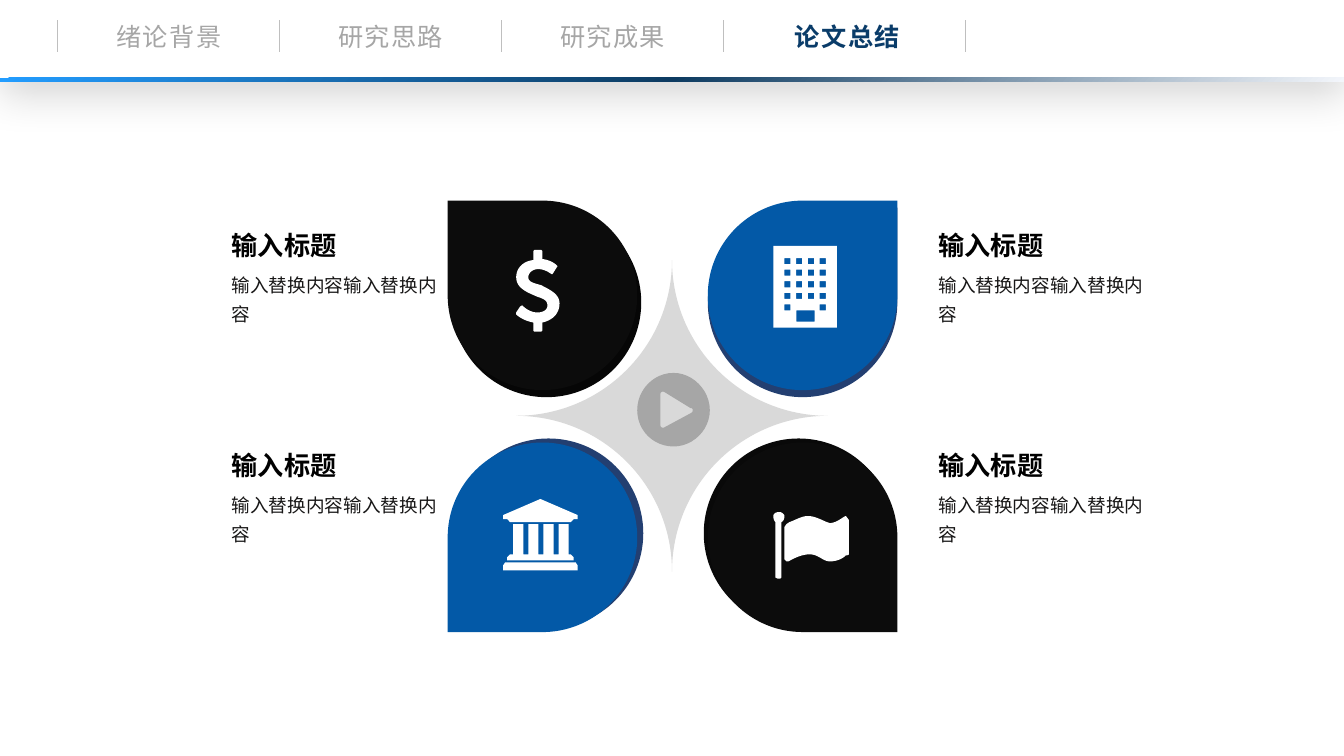
from dataclasses import dataclass

import pptx
import pptx.dml.color
import pptx.enum.shapes
import pptx.enum.text
import pptx.oxml
import pptx.oxml.ns
import pptx.shapes.autoshape
import pptx.slide
import pptx.util
from pptx.util import Inches

Point = tuple[float, float]
Contour = list[Point]
SHAPES = pptx.enum.shapes.MSO_SHAPE
ALIGN = pptx.enum.text.PP_ALIGN
FONT = "Noto Sans CJK SC"
BLACK, BLUE, WHITE, GREY = "0C0C0C", "0359A7", "FFFFFF", "A6A6A6"
A_NS = 'xmlns:a="http://schemas.openxmlformats.org/drawingml/2006/main"'


@dataclass
class Petal:
    left: float
    top: float
    rotation: int
    color: str
    edge_left: float
    edge_top: float
    edge_color: str
    text_left: float
    text_top: float


@dataclass
class Section:
    name: str
    left: float


PETALS = [
    Petal(4.44, 1.99, 270, BLACK, 4.48, 2.06, "060606", 2.2, 2.23),
    Petal(7.02, 1.99, 0, BLUE, 7.02, 2.06, "233F71", 9.21, 2.23),
    Petal(4.44, 4.39, 180, BLUE, 4.5, 4.35, "233F71", 2.2, 4.41),
    Petal(7.02, 4.39, 90, BLACK, 6.98, 4.35, "090909", 9.21, 4.41),
]
SECTIONS = [Section("绪论背景", 1.04), Section("研究思路", 3.24), Section("研究成果", 5.44)]
CURRENT_SECTION = Section("论文总结", 7.77)
SEPARATORS = [0.57, 2.77, 4.97, 7.17, 9.57]


def rgb(color: str) -> pptx.dml.color.RGBColor:
    return pptx.dml.color.RGBColor.from_string(color)


def paint(shape: pptx.shapes.autoshape.Shape, color: str) -> None:
    shape.shadow.inherit = False
    shape.fill.solid()
    shape.fill.fore_color.rgb = rgb(color)
    shape.line.fill.background()


def add_filled(slide: pptx.slide.Slide, kind: SHAPES, left: float, top: float, width: float,
               height: float, color: str, rotation: int = 0) -> pptx.shapes.autoshape.Shape:
    shape = slide.shapes.add_shape(kind, Inches(left), Inches(top), Inches(width), Inches(height))
    shape.rotation = rotation
    paint(shape, color)
    return shape


def trace(*steps: tuple[float, ...]) -> Contour:
    """Turn points (x, y) and cubic curves (x1, y1, x2, y2, x, y) into a polygon."""
    points: Contour = []
    for step in steps:
        if len(step) == 2:
            points.append(step)
            continue
        x0, y0 = points[-1]
        x1, y1, x2, y2, x3, y3 = step
        for i in range(1, 13):
            t = i / 12
            a, b, c, d = (1 - t) ** 3, 3 * t * (1 - t) ** 2, 3 * t * t * (1 - t), t ** 3
            points.append((a * x0 + b * x1 + c * x2 + d * x3, a * y0 + b * y1 + c * y2 + d * y3))
    return points


def box(left: float, top: float, width: float, height: float) -> Contour:
    right, bottom = left + width, top + height
    return [(left, top), (right, top), (right, bottom), (left, bottom)]


def add_icon(slide: pptx.slide.Slide, contours: list[Contour], color: str) -> None:
    outlines = [[(Inches(x), Inches(y)) for x, y in contour] for contour in contours]
    builder = slide.shapes.build_freeform(*outlines[0][0])
    builder.add_line_segments(outlines[0][1:])
    for outline in outlines[1:]:
        builder.move_to(*outline[0])
        builder.add_line_segments(outline[1:])
    paint(builder.convert_to_shape(), color)


def write(shape: pptx.shapes.autoshape.Shape, text: str, size: float, color: str,
          align: ALIGN, bold: bool = False, spacing: int = 0, wrap: bool = True) -> None:
    frame = shape.text_frame
    frame.word_wrap = wrap
    frame.auto_size = pptx.enum.text.MSO_AUTO_SIZE.NONE
    frame.vertical_anchor = pptx.enum.text.MSO_ANCHOR.TOP
    frame.text = text
    paragraph = frame.paragraphs[0]
    paragraph.alignment = align
    font = paragraph.font
    font.size, font.bold, font.name = pptx.util.Pt(size), bold, FONT
    font.color.rgb = rgb(color)
    for properties in shape.element.iter(pptx.oxml.ns.qn("a:defRPr")):
        properties.set("spc", str(spacing))
        properties.append(pptx.oxml.parse_xml(f'<a:ea {A_NS} typeface="{FONT}"/>'))


def add_text_box(slide: pptx.slide.Slide, left: float, top: float, width: float,
                 height: float) -> pptx.shapes.autoshape.Shape:
    return slide.shapes.add_textbox(Inches(left), Inches(top), Inches(width), Inches(height))


def add_petals(slide: pptx.slide.Slide) -> None:
    star = add_filled(slide, SHAPES.PLAQUE, 5.12, 2.58, 3.09, 3.09, "D9D9D9")
    star.adjustments[0] = 0.5
    for petal in PETALS:
        add_filled(slide, SHAPES.TEAR, petal.edge_left, petal.edge_top, 1.88, 1.88,
                   petal.edge_color, petal.rotation)
        add_filled(slide, SHAPES.TEAR, petal.left, petal.top, 1.88, 1.88,
                   petal.color, petal.rotation)
        body = add_text_box(slide, petal.text_left, petal.text_top + 0.37, 2.24, 0.66)
        write(body, "输入替换内容输入替换内容", 13.3, "181717", ALIGN.LEFT)
        body.text_frame.paragraphs[0].line_spacing = 1.3
        heading = add_text_box(slide, petal.text_left, petal.text_top, 2.24, 0.42)
        write(heading, "输入标题", 18.7, "000000", ALIGN.JUSTIFY, bold=True)


def add_icons(slide: pptx.slide.Slide) -> None:
    play = [
        trace((7.04, 4.07), (7.04, 4.27, 6.87, 4.43, 6.68, 4.43), (6.48, 4.43, 6.32, 4.27, 6.32, 4.07),
              (6.32, 3.87, 6.48, 3.7, 6.68, 3.7), (6.87, 3.7, 7.04, 3.87, 7.04, 4.07)),
        trace((6.87, 4.07), (6.87, 4.06, 6.87, 4.05, 6.85, 4.05), (6.59, 3.89),
              (6.57, 3.88, 6.55, 3.89, 6.55, 3.91), (6.55, 4.22), (6.55, 4.24, 6.57, 4.25, 6.59, 4.24),
              (6.85, 4.1), (6.87, 4.09, 6.87, 4.08, 6.87, 4.07)),
    ]
    dollar = [trace(
        (5.38, 3.2), (5.38, 3.28), (5.37, 3.29), (5.3, 3.29), (5.29, 3.28), (5.29, 3.2),
        (5.18, 3.18, 5.12, 3.12, 5.12, 3.12), (5.12, 3.1), (5.16, 3.04), (5.18, 3.03),
        (5.19, 3.04, 5.25, 3.1, 5.33, 3.1), (5.38, 3.1, 5.43, 3.08, 5.43, 3.03),
        (5.43, 2.97, 5.37, 2.96, 5.32, 2.94), (5.23, 2.9, 5.12, 2.86, 5.12, 2.75),
        (5.12, 2.66, 5.19, 2.59, 5.29, 2.58), (5.29, 2.49), (5.3, 2.48), (5.37, 2.48), (5.38, 2.49),
        (5.38, 2.57), (5.47, 2.58, 5.52, 2.63, 5.52, 2.63), (5.53, 2.64), (5.48, 2.72), (5.47, 2.72),
        (5.47, 2.72, 5.41, 2.67, 5.34, 2.67), (5.28, 2.67, 5.24, 2.71, 5.24, 2.75),
        (5.24, 2.8, 5.3, 2.81, 5.37, 2.83), (5.44, 2.87, 5.55, 2.91, 5.55, 3.01),
        (5.55, 3.12, 5.47, 3.18, 5.38, 3.2))]
    windows = [box(7.78 + 0.117 * column, 2.56 + 0.115 * row, 0.06, 0.06)
               for row in range(5) for column in range(4) if row < 4 or column in (0, 3)]
    building = [box(7.67, 2.44, 0.63, 0.81), *windows, box(7.9, 3.08, 0.18, 0.11)]
    bank = [
        [(5.36, 4.95), (5.73, 5.11), (5.73, 5.15), (5.69, 5.15), (5.66, 5.18), (5.06, 5.18),
         (5.03, 5.15), (4.99, 5.15), (4.99, 5.11)],
        *[box(5.09 + 0.15 * column, 5.2, 0.1, 0.3) for column in range(4)],
        [(5.06, 5.5), (5.66, 5.5), (5.69, 5.53), (5.69, 5.56), (5.03, 5.56), (5.03, 5.53)],
        [(5.01, 5.58), (5.71, 5.58), (5.73, 5.61), (5.73, 5.66), (4.99, 5.66), (4.99, 5.61)],
    ]
    flag = [
        trace((7.75, 5.18), (7.75, 5.73), (7.74, 5.74), (7.71, 5.74), (7.69, 5.73), (7.69, 5.18),
              (7.68, 5.17, 7.67, 5.15, 7.67, 5.12), (7.67, 5.1, 7.69, 5.08, 7.73, 5.08),
              (7.75, 5.08, 7.78, 5.1, 7.78, 5.12), (7.78, 5.15, 7.77, 5.17, 7.75, 5.18)),
        trace((8.42, 5.49), (8.42, 5.5, 8.42, 5.51, 8.39, 5.51), (8.35, 5.55, 8.29, 5.57, 8.23, 5.57),
              (8.16, 5.57, 8.12, 5.5, 8.03, 5.5), (7.96, 5.5, 7.89, 5.53, 7.82, 5.57),
              (7.8, 5.57), (7.78, 5.55), (7.78, 5.23), (7.8, 5.2), (7.83, 5.18),
              (7.89, 5.16, 7.95, 5.12, 8.01, 5.12), (8.08, 5.12, 8.13, 5.15, 8.2, 5.18),
              (8.23, 5.19), (8.3, 5.19, 8.37, 5.12, 8.39, 5.12), (8.42, 5.16)),
    ]
    add_icon(slide, play, GREY)
    for icon in (dollar, building, bank, flag):
        add_icon(slide, icon, WHITE)


def add_header(slide: pptx.slide.Slide) -> None:
    band = add_filled(slide, SHAPES.RECTANGLE, 0, -0.07, 13.33, 0.87, WHITE)
    effects = band.element.spPr.find(pptx.oxml.ns.qn("a:effectLst"))
    effects.append(pptx.oxml.parse_xml(
        f'<a:outerShdw {A_NS} blurRad="355600" dist="139700" dir="5400000" algn="t" rotWithShape="0">'
        '<a:srgbClr val="000000"><a:alpha val="15000"/></a:srgbClr></a:outerShdw>'))
    for x in SEPARATORS:
        separator = slide.shapes.add_connector(pptx.enum.shapes.MSO_CONNECTOR.STRAIGHT,
                                               Inches(x), Inches(0.2), Inches(x), Inches(0.52))
        separator.line.color.rgb = rgb("BFBFBF")
        separator.line.width = pptx.util.Pt(0.5)
        separator.element.spPr.append(pptx.oxml.parse_xml(f"<a:effectLst {A_NS}/>"))
    for section in SECTIONS:
        label = add_text_box(slide, section.left, 0.16, 1.27, 0.4)
        write(label, section.name, 18, GREY, ALIGN.CENTER, spacing=100, wrap=False)
    title = slide.shapes.title
    title.left, title.top = Inches(CURRENT_SECTION.left), Inches(0.16)
    title.width, title.height = Inches(1.27), Inches(0.4)
    write(title, CURRENT_SECTION.name, 18, "0A3C69", ALIGN.CENTER, True, 100, False)
    band.element.getparent().append(title.element)  # keeps the title in front of the band

    rule = add_filled(slide, SHAPES.RECTANGLE, 0, 0.77, 13.33, 0.04, BLUE)
    stops = "".join(f'<a:gs pos="{position}"><a:srgbClr val="{color}"/></a:gs>' for position, color
                    in ((0, "F3F6FB"), (50000, "0D3B61"), (100000, "239DFF")))
    properties = rule.element.spPr
    properties.replace(properties.find(pptx.oxml.ns.qn("a:solidFill")), pptx.oxml.parse_xml(
        f'<a:gradFill {A_NS}><a:gsLst>{stops}</a:gsLst>'
        '<a:path path="circle"><a:fillToRect l="100000" t="100000"/></a:path></a:gradFill>'))


def main() -> None:
    deck = pptx.Presentation()
    deck.slide_width, deck.slide_height = Inches(13.33), Inches(7.5)
    slide = deck.slides.add_slide(deck.slide_layouts[5])
    add_petals(slide)
    add_icons(slide)
    add_header(slide)
    deck.save("out.pptx")


if __name__ == "__main__":
    main()
